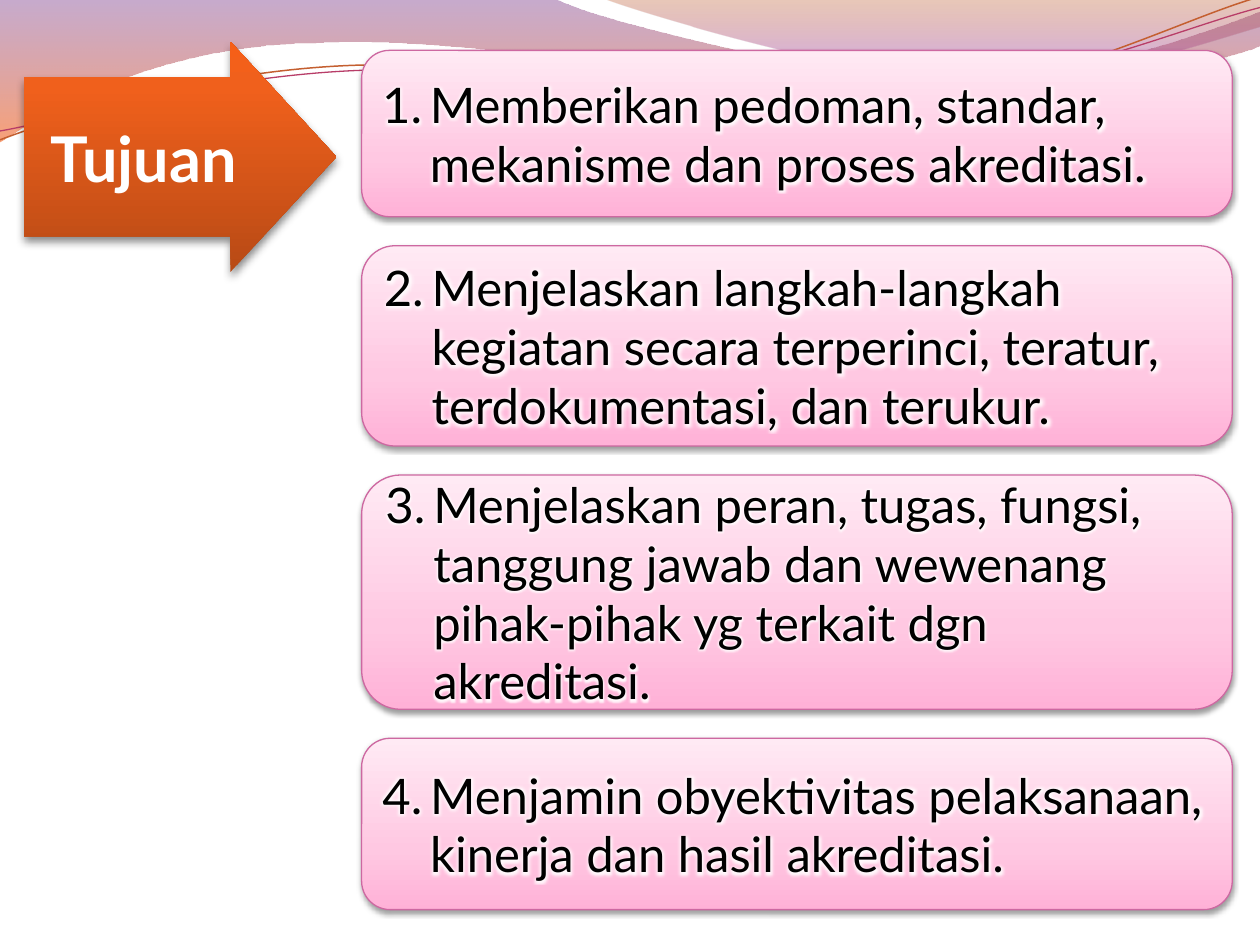
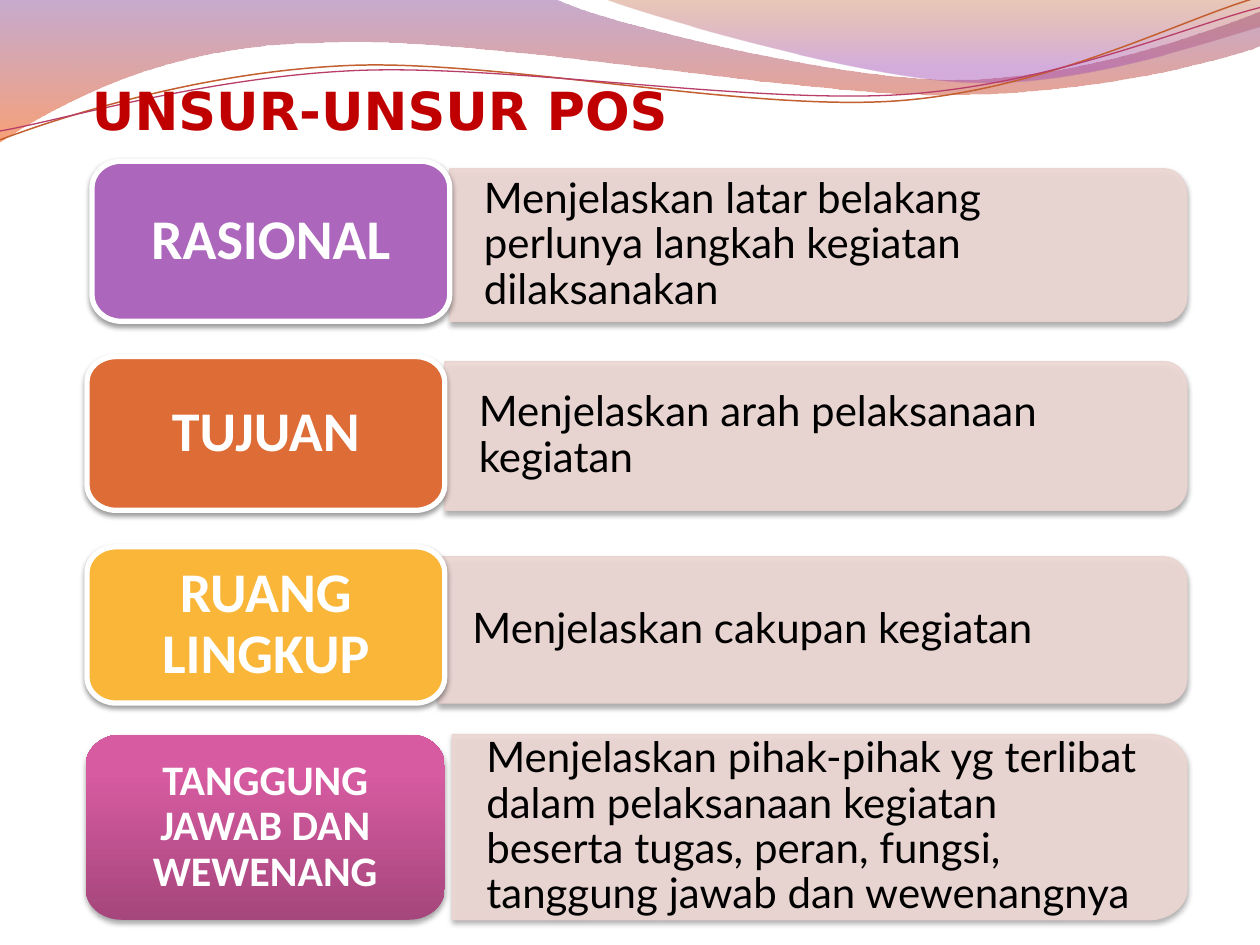
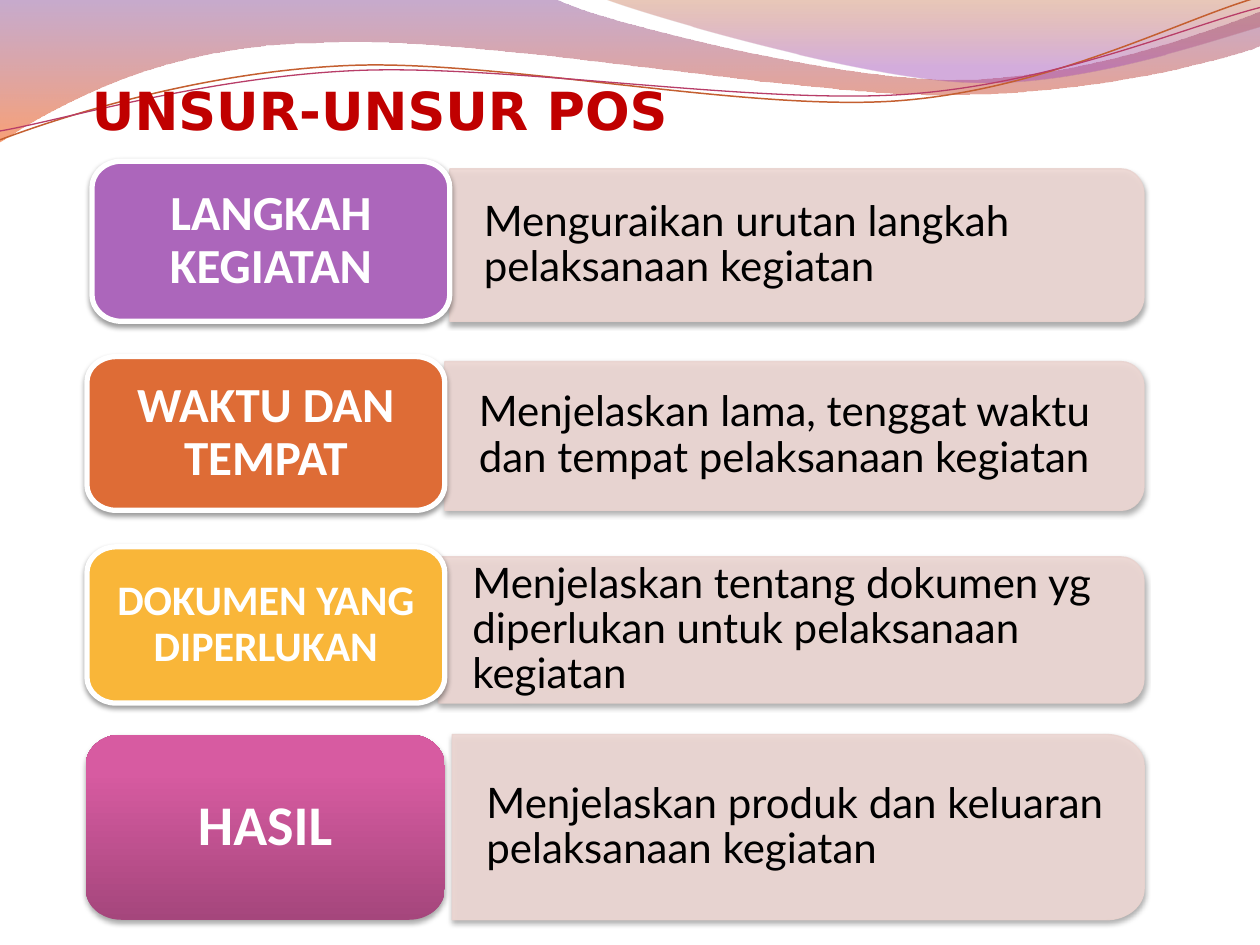
import math
from dataclasses import dataclass

from pptx import Presentation
from pptx.dml.color import RGBColor
from pptx.enum import shapes, text
from pptx.oxml import parse_xml
from pptx.oxml.ns import nsdecls
from pptx.util import Inches, Pt


@dataclass(frozen=True)
class Theme:
    body_font: str = "Lato"
    label_font: str = "Calibri"
    title_font: str = "DejaVu Sans"
    title_size: int = 30
    arrow_size: int = 36
    goal_size: int = 28
    panel_size: int = 24
    black: str = "000000"
    white: str = "FFFFFF"
    title: str = "C00000"
    goal_line: str = "CD68A1"
    panel: str = "EED8D4"
    panel_line: str = "E9D3CF"
    purple: str = "AC66BB"
    orange: str = "DE6C36"
    yellow: str = "F9B639"
    goal_fill: tuple = ((0, "FFB1D7", 100), (35, "FFC8E2", 100), (100, "FFEAF4", 100))
    arrow_fill: tuple = ((0, "B84A15", 100), (80, "F0601C", 100), (100, "F55F18", 100))
    pink_fill: tuple = ((0, "A5467C", 100), (80, "D75BA1", 100), (100, "DA59A2", 100))
    left_wave: tuple = ((0, "834591", 45), (100, "F35307", 55))
    right_wave: tuple = ((0, "B74915", 30), (80, "A14BB4", 45))
    orange_curve: str = "C45F30"
    pink_curve: str = "B83D68"
    soft_shadow: tuple = (38, 3.1, 1.6)
    panel_shadow: tuple = (35, 3.1, 1.8)
    arrow_shadow: tuple = (45, 5, 3)


T = Theme()

WAVES = [
    (T.left_wave, [
        (0, -0.01), (4.4, -0.01), (4.76, 0.17, 6.64, 0.63, 7.58, 0.63),
        (8.53, 0.63, 9.58, 0.26, 10, 0.09), (10.01, 0.36),
        (9.83, 0.44, 8.7, 0.76, 7.46, 0.75), (6.22, 0.75, 3.82, 0.28, 2.57, 0.34),
        (1.29, 0.35, 0.46, 0.83, -0.01, 1.13), (0, -0.01)]),
    (T.right_wave, [
        (4.79, -0.01), (5.09, 0.11, 6.82, 0.62, 7.69, 0.65),
        (8.56, 0.69, 9.61, 0.32, 10, 0.21), (10, 0), (4.79, -0.01)]),
]
CURVE_TILT = -2.7
CURVES = [
    (T.orange_curve, 0.85, (4.99, 0.57), [
        (0, 1.11), (0.48, 0.93, 1.58, 0.57, 2.77, 0.52),
        (3.95, 0.47, 5.93, 0.89, 7.13, 0.8), (8.33, 0.71, 9.38, 0.15, 9.98, -0.02)]),
    (T.pink_curve, 0.75, (5, 0.59), [
        (0, 1.04), (0.47, 0.96, 1.64, 0.61, 2.83, 0.56),
        (4.03, 0.51, 5.97, 0.83, 7.17, 0.75), (8.36, 0.67, 9.41, 0.21, 10, 0.06)]),
]

GOALS = [
    (1.32, "Memberikan pedoman, standar, mekanisme dan proses akreditasi."),
    (1.59, "Menjelaskan langkah-langkah kegiatan secara terperinci, teratur, "
           "terdokumentasi, dan terukur."),
    (1.86, "Menjelaskan peran, tugas, fungsi, tanggung jawab dan wewenang "
           "pihak-pihak yg terkait dgn akreditasi."),
    (1.36, "Menjamin obyektivitas pelaksanaan, kinerja dan hasil akreditasi."),
]


@dataclass(frozen=True)
class Row:
    label_left: float
    label_top: float
    panel_left: float
    panel_top: float
    bottom: float
    fill: object
    edge: str = T.white
    shadow: tuple = T.soft_shadow
    label_width: float = 2.84
    label_corner: float = 0.23
    panel_corner: float = 0.18
    label_inset: float = 0.21


ROWS = [
    Row(0.73, 1.28, 3.57, 1.34, 2.55, T.purple),
    Row(0.69, 2.83, 3.53, 2.87, 4.05, T.orange),
    Row(0.69, 4.34, 3.48, 4.42, 5.58, T.yellow),
    Row(0.68, 5.83, 3.59, 5.83, 7.3, T.pink_fill, None, T.panel_shadow,
        2.85, 0.28, 0.3, 0.18),
]

ELEMENTS = [
    (9.42, 0.35, [
        ("RASIONAL", 32, "Menjelaskan latar belakang perlunya langkah kegiatan dilaksanakan"),
        ("TUJUAN", 32, "Menjelaskan arah pelaksanaan kegiatan"),
        ("RUANG LINGKUP", 32, "Menjelaskan cakupan kegiatan"),
        ("TANGGUNG JAWAB DAN WEWENANG", 24,
         "Menjelaskan pihak-pihak yg terlibat dalam pelaksanaan kegiatan beserta tugas, "
         "peran, fungsi, tanggung jawab dan wewenangnya")]),
    (9.08, 0.31, [
        ("LANGKAH KEGIATAN", 28, "Menguraikan urutan langkah pelaksanaan kegiatan"),
        ("WAKTU DAN TEMPAT", 28,
         "Menjelaskan lama, tenggat waktu dan tempat pelaksanaan kegiatan"),
        ("DOKUMEN YANG DIPERLUKAN", 24,
         "Menjelaskan tentang dokumen yg diperlukan untuk pelaksanaan kegiatan"),
        ("HASIL", 32, "Menjelaskan produk dan keluaran pelaksanaan kegiatan")]),
]


def color_xml(color, alpha):
    return f'<a:srgbClr val="{color}"><a:alpha val="{alpha * 1000}"/></a:srgbClr>'


def paint(sp, fill, angle=270, alpha=100):
    if isinstance(fill, str):
        xml = f'<a:solidFill {nsdecls("a")}>{color_xml(fill, alpha)}</a:solidFill>'
    else:
        stops = "".join(f'<a:gs pos="{pos * 1000}">{color_xml(color, opacity)}</a:gs>'
                        for pos, color, opacity in fill)
        xml = (f'<a:gradFill {nsdecls("a")} rotWithShape="1"><a:gsLst>{stops}</a:gsLst>'
               f'<a:lin ang="{angle * 60000}" scaled="0"/></a:gradFill>')
    sp.fill.background()
    spPr = sp._element.spPr
    spPr.replace(spPr.find("{*}noFill"), parse_xml(xml))


def outline(sp, color=None, width=0.75, alpha=100):
    if color is None:
        sp.line.fill.background()
        return
    sp.line.color.rgb = RGBColor.from_string(color)
    sp.line.width = Pt(width)
    if alpha < 100:
        sp._element.spPr.find("{*}ln/{*}solidFill/{*}srgbClr").append(
            parse_xml(f'<a:alpha {nsdecls("a")} val="{alpha * 1000}"/>'))


def cast_shadow(sp, alpha, blur, distance):
    sp.shadow.inherit = False
    sp._element.spPr.find("{*}effectLst").append(parse_xml(
        f'<a:outerShdw {nsdecls("a")} blurRad="{Pt(blur)}" dist="{Pt(distance)}" '
        f'dir="5400000" rotWithShape="0">{color_xml(T.black, alpha)}</a:outerShdw>'))


def write(sp, words, font, size, color, bold=False, align=text.PP_ALIGN.LEFT,
          anchor=text.MSO_ANCHOR.MIDDLE, insets=(0.1, 0.05, 0.1, 0.05), spacing=None):
    tf = sp.text_frame
    tf.word_wrap = True
    tf.vertical_anchor = anchor
    tf.margin_left, tf.margin_top, tf.margin_right, tf.margin_bottom = map(Inches, insets)
    p = tf.paragraphs[0]
    p.text = words
    p.alignment = align
    p.line_spacing = spacing
    p.font.name = font
    p.font.size = Pt(size)
    p.font.bold = bold
    p.font.color.rgb = RGBColor.from_string(color)
    return p


def add_preset(slide, kind, box):
    return slide.shapes.add_shape(kind, *map(Inches, box))


def pairs(values):
    return list(zip(values[::2], values[1::2]))


def add_outline(slide, points, close=True):
    first, *ends = [(Inches(point[-2]), Inches(point[-1])) for point in points]
    builder = slide.shapes.build_freeform(*first)
    builder.add_line_segments(ends, close=close)
    sp = builder.convert_to_shape()
    sp.shadow.inherit = False
    outline_path = sp._element.spPr.find("{*}custGeom/{*}pathLst/{*}path")
    for node, point in zip(outline_path.findall("{*}lnTo"), points[1:]):
        if len(point) == 6:
            pts = "".join(f'<a:pt x="{Inches(x) - sp.left}" y="{Inches(y) - sp.top}"/>'
                          for x, y in pairs(point))
            outline_path.replace(node, parse_xml(
                f'<a:cubicBezTo {nsdecls("a")}>{pts}</a:cubicBezTo>'))
    return sp


def turn(point, pivot, degrees):
    cos, sin = math.cos(math.radians(degrees)), math.sin(math.radians(degrees))
    turned = ()
    for x, y in pairs(point):
        dx, dy = x - pivot[0], y - pivot[1]
        turned += (pivot[0] + dx * cos - dy * sin, pivot[1] + dx * sin + dy * cos)
    return turned


def add_waves(slide):
    waves = []
    for fill, points in WAVES:
        sp = add_outline(slide, points)
        paint(sp, fill, angle=90)
        outline(sp)
        waves.append(sp)
    for color, width, pivot, points in CURVES:
        level = [turn(point, pivot, -CURVE_TILT) for point in points]
        sp = add_outline(slide, level, close=False)
        sp.rotation = CURVE_TILT
        sp.fill.background()
        outline(sp, color, width)
        waves.append(sp)
    return waves


def decorate_master(prs, slide):
    tree = prs.slide_master.shapes.element
    for number, sp in enumerate(add_waves(slide), start=101):
        sp._element.nvSpPr.cNvPr.set("id", str(number))
        tree.append(sp._element)


def add_title(slide, words, box):
    sp = slide.shapes.add_textbox(*map(Inches, box))
    write(sp, words, T.title_font, T.title_size, T.title, bold=True,
          align=text.PP_ALIGN.CENTER, anchor=text.MSO_ANCHOR.BOTTOM, insets=(0, 0.05, 0, 0))


def add_arrow(slide, words, box):
    sp = add_preset(slide, shapes.MSO_SHAPE.RIGHT_ARROW, box)
    sp.adjustments[0], sp.adjustments[1] = 0.69, 0.46
    paint(sp, T.arrow_fill)
    outline(sp)
    cast_shadow(sp, *T.arrow_shadow)
    write(sp, words, T.body_font, T.arrow_size, T.white, bold=True,
          align=text.PP_ALIGN.CENTER)


def add_goal(slide, number, words, box):
    sp = add_preset(slide, shapes.MSO_SHAPE.ROUNDED_RECTANGLE, box)
    paint(sp, T.goal_fill)
    outline(sp, T.goal_line)
    cast_shadow(sp, *T.soft_shadow)
    p = write(sp, words, T.body_font, T.goal_size, T.black)
    pPr = p._p.get_or_add_pPr()
    pPr.set("marL", str(Inches(0.38)))
    pPr.set("indent", str(Inches(-0.38)))
    pPr.find("{*}defRPr").addprevious(parse_xml(
        f'<a:buAutoNum {nsdecls("a")} type="arabicPeriod" startAt="{number}"/>'))
    p.runs[0]._r.get_or_add_rPr().append(parse_xml(
        f'<a:effectLst {nsdecls("a")}><a:glow rad="{Pt(5)}">'
        f'{color_xml(T.white, 90)}</a:glow></a:effectLst>'))


def right_side(left, top, right, bottom, rx, ry):
    bend_x, bend_y = rx * 0.45, ry * 0.45
    return [
        (right - rx, top),
        (right - bend_x, top, right, top + bend_y, right, top + ry),
        (right, bottom - ry),
        (right, bottom - bend_y, right - bend_x, bottom, right - rx, bottom)]


def left_side(left, top, right, bottom, rx, ry):
    bend_x, bend_y = rx * 0.45, ry * 0.45
    return [
        (left + rx, bottom),
        (left + bend_x, bottom, left, bottom - bend_y, left, bottom - ry),
        (left, top + ry),
        (left, top + bend_y, left + bend_x, top, left + rx, top)]


def add_panel(slide, words, row, right, right_inset):
    left, top, bottom = row.panel_left, row.panel_top, row.bottom
    edges = (left, top, right, bottom, row.panel_corner, (bottom - top) / 6)
    sp = add_outline(slide, [(left, top), *right_side(*edges), (left, bottom)])
    paint(sp, T.panel, alpha=90)
    outline(sp, T.panel_line, alpha=90)
    cast_shadow(sp, *T.panel_shadow)
    write(sp, words, T.body_font, T.panel_size, T.black,
          insets=(0.27, 0.2, right_inset, 0.2), spacing=0.9)


def add_label(slide, words, size, row):
    left, top, bottom = row.label_left, row.label_top, row.bottom
    edges = (left, top, left + row.label_width, bottom, row.label_corner, (bottom - top) / 6)
    sp = add_outline(slide, right_side(*edges) + left_side(*edges))
    paint(sp, row.fill)
    outline(sp, row.edge, 3)
    cast_shadow(sp, *row.shadow)
    write(sp, words, T.label_font, size, T.white, bold=True, align=text.PP_ALIGN.CENTER,
          insets=(row.label_inset, 0.14, row.label_inset, 0.14), spacing=0.9)


def new_slide(prs):
    return prs.slides.add_slide(prs.slide_layouts[6])


def build_goals(prs):
    slide = new_slide(prs)
    decorate_master(prs, slide)
    add_arrow(slide, "Tujuan", (0.19, 0.33, 2.48, 1.83))
    top, gap = 0.4, 0.23
    for number, (height, words) in enumerate(GOALS, start=1):
        add_goal(slide, number, words, (2.87, top, 6.91, height))
        top += height + gap


def build_elements(prs, panel_right, right_inset, items):
    slide = new_slide(prs)
    add_title(slide, "UNSUR-UNSUR POS", (0.25, 0.25, 5.53, 0.87))
    for row, (label, size, words) in zip(ROWS, items):
        add_panel(slide, words, row, panel_right, right_inset)
        add_label(slide, label, size, row)


def main():
    prs = Presentation()
    prs.slide_width, prs.slide_height = Inches(10), Inches(7.5)
    build_goals(prs)
    for panel_right, right_inset, items in ELEMENTS:
        build_elements(prs, panel_right, right_inset, items)
    prs.save("out.pptx")


if __name__ == "__main__":
    main()
